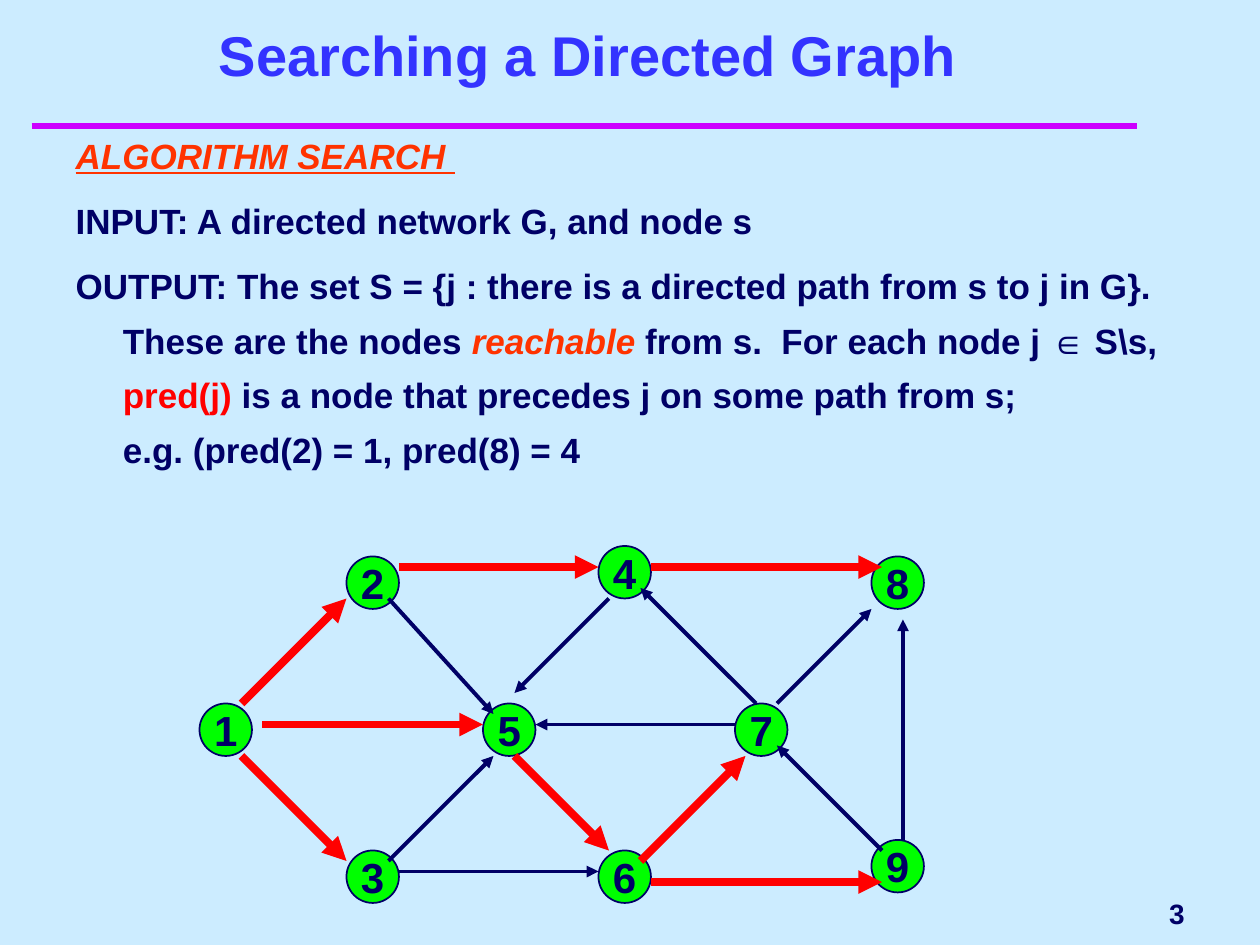
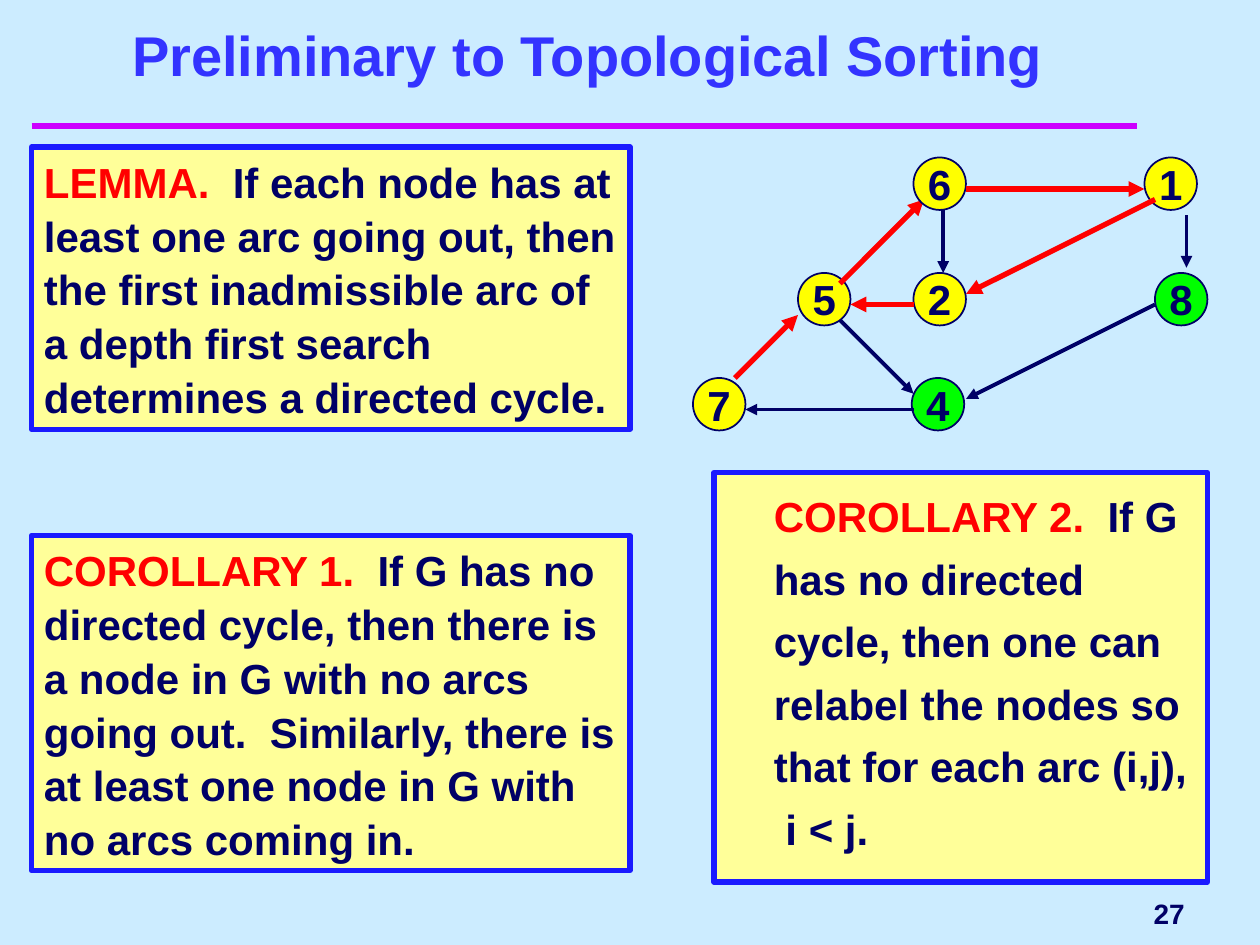
import pptx
import pptx.util
import pptx.dml.color
import pptx.enum.shapes
import pptx.enum.text
import pptx.oxml.ns
import lxml.etree

Pt = pptx.util.Pt
RGBColor = pptx.dml.color.RGBColor
Align = pptx.enum.text.PP_ALIGN
Anchor = pptx.enum.text.MSO_ANCHOR
Shape = pptx.enum.shapes.MSO_SHAPE
qn = pptx.oxml.ns.qn

COLORS = {
    "background": "CCECFF",
    "rule": "CC00FF",
    "title": "3333FF",
    "navy": "000066",
    "red": "FF0000",
    "orange": "FF3300",
    "green": "00FF00",
    "yellow": "FFFF00",
    "box": "FFFF99",
    "frame": "1A1AFF",
}
RGB = {name: RGBColor.from_string(value) for name, value in COLORS.items()}
FONT = "Arial"
NODE_SIZE = 30


def write(paragraph, pieces, size):
    for text, color, *styles in pieces:
        if text == "\n":
            paragraph.add_line_break()
            continue
        run = paragraph.add_run()
        run.text = text
        font = run.font
        font.name, font.size, font.bold = FONT, Pt(size), True
        font.color.rgb = RGB[color]
        font.italic = "italic" in styles
        font.underline = "underline" in styles


def add_line(slide, start, end, color, width, arrow=True):
    line = slide.shapes.add_connector(
        pptx.enum.shapes.MSO_CONNECTOR.STRAIGHT, *map(Pt, start + end))
    line.line.color.rgb = RGB[color]
    line.line.width = Pt(width)
    if arrow:
        lxml.etree.SubElement(line.line._get_or_add_ln(), qn("a:tailEnd"), type="triangle")
    lxml.etree.SubElement(line._element.spPr, qn("a:effectLst"))


presentation = pptx.Presentation()
presentation.slide_width, presentation.slide_height = Pt(720), Pt(540)
background = presentation.slide_master.background.fill
background.solid()
background.fore_color.rgb = RGB["background"]

search_nodes = [
    ("1", 114, 402, "green"), ("2", 198, 318, "green"), ("4", 342, 312, "green"),
    ("5", 276, 402, "green"), ("3", 198, 486, "green"), ("6", 342, 486, "green"),
    ("9", 498, 480, "green"), ("7", 420, 402, "green"), ("8", 498, 318, "green"),
]
other_arcs = [
    ((444, 402), (498, 348)), ((432, 402), (366, 336)), ((348, 342), (294, 396)),
    ((222, 492), (282, 432)), ((228, 498), (342, 498)), ((504, 486), (444, 426)),
    ((516, 480), (516, 354)), ((222, 342), (282, 408)), ((420, 414), (306, 414)),
]
tree_arcs = [
    ((138, 402), (198, 342)), ((150, 414), (276, 414)), ((138, 432), (198, 492)),
    ((228, 324), (342, 324)), ((294, 432), (348, 486)), ((372, 324), (504, 324)),
    ((366, 492), (426, 432)), ((372, 504), (504, 504)),
]
search_layers = [
    (search_nodes, other_arcs, "navy", 2.25),
    ([], tree_arcs, "red", 4.5),
]

sorting_nodes = [("4", 521, 216, "green"), ("8", 660, 156, "green")]
sorting_arcs = [
    ((522, 234), (426, 234)), ((480, 183), (522, 225)), ((539, 120), (539, 156)),
    ((660, 174), (552, 228)), ((678, 123), (678, 153)),
]
cycle_steps = [
    ("7", 396, 216, (420, 216), (456, 180)),
    ("5", 456, 156, (480, 162), (528, 114)),
    ("6", 522, 90, (552, 108), (654, 108)),
    ("1", 654, 90, (660, 114), (552, 168)),
    ("2", 522, 156, (522, 174), (486, 174)),
]
sorting_layers = [(sorting_nodes, sorting_arcs, "navy", 2.25)]
for label, left, top, start, end in cycle_steps:
    sorting_layers.append(([(label, left, top, "yellow")], [(start, end)], "red", 3))

algorithm = [
    [("ALGORITHM SEARCH ", "orange", "italic", "underline")],
    [("INPUT: A directed network G, and node s", "navy")],
    [
        ("OUTPUT: The set S = {j : there is a directed path from s to j in G}.  "
         "These are the nodes ", "navy"),
        ("reachable", "orange", "italic"),
        (" from s.  For each node j ∈ S\\s, ", "navy"),
        ("pred(j)", "red"),
        (" is a node that precedes j on some path from s; ", "navy"),
        ("\n", "navy"),
        ("e.g. (pred(2) = 1, pred(8) = 4", "navy"),
    ],
]
corollary_2 = [[
    ("COROLLARY 2.", "red"),
    ("  If G has no directed cycle, then one can relabel the nodes so "
     "that for each arc (i,j),", "navy"),
    ("\n", "navy"),
    (" i < j.", "navy"),
]]
statements = [
    (84, 161.3, 15, "LEMMA.",
     "  If each node has at least one arc going out, then the first inadmissible "
     "arc of a depth first search determines a directed cycle."),
    (306, 191.5, 6, "COROLLARY 1.",
     "  If G has no directed cycle, then there is a node in G with no arcs going "
     "out.  Similarly, there is at least one node in G with no arcs coming in."),
]

pages = [
    ("Searching a Directed Graph", "3", (36, 66, 654, 216),
     algorithm, 20, 1.3, -27, [], search_layers),
    ("Preliminary to Topological Sorting", "27", (408, 270, 282, 234),
     corollary_2, 24, Pt(35.7), 0, statements, sorting_layers),
]

for heading, number, body_area, items, size, spacing, indent, boxes, layers in pages:
    slide = presentation.slides.add_slide(presentation.slide_layouts[1])
    add_line(slide, (18, 72), (650, 72), "rule", 4, arrow=False)

    title, body = slide.placeholders
    title.left, title.top, title.width, title.height = map(Pt, (30, 12, 612, 42))
    title.text_frame.vertical_anchor = Anchor.BOTTOM
    title.text_frame.auto_size = pptx.enum.text.MSO_AUTO_SIZE.NONE
    title.text_frame.paragraphs[0].alignment = Align.CENTER
    write(title.text_frame.paragraphs[0], [(heading, "title")], 32)

    body.left, body.top, body.width, body.height = map(Pt, body_area)
    body.text_frame.auto_size = pptx.enum.text.MSO_AUTO_SIZE.NONE
    for index, pieces in enumerate(items):
        frame = body.text_frame
        paragraph = frame.add_paragraph() if index else frame.paragraphs[0]
        paragraph.line_spacing = spacing
        paragraph.space_before = Pt(6)
        properties = paragraph._p.get_or_add_pPr()
        properties.set("marL", str(Pt(27)))
        properties.set("indent", str(Pt(indent)))
        lxml.etree.SubElement(properties, qn("a:buNone"))
        write(paragraph, pieces, size)

    framed = [body] if boxes else []
    for top, height, space_before, name, statement in boxes:
        box = slide.shapes.add_shape(Shape.RECTANGLE, *map(Pt, (18, top, 342, height)))
        box.shadow.inherit = False
        box.text_frame.word_wrap = True
        box.text_frame.vertical_anchor = Anchor.TOP
        paragraph = box.text_frame.paragraphs[0]
        paragraph.alignment = Align.LEFT
        paragraph.line_spacing = Pt(30.7)
        paragraph.space_before = Pt(space_before)
        write(paragraph, [(name, "red"), (statement, "navy")], 24)
        framed.append(box)
    for box in framed:
        box.fill.solid()
        box.fill.fore_color.rgb = RGB["box"]
        box.line.color.rgb = RGB["frame"]
        box.line.width = Pt(3)

    for nodes, arcs, arc_color, arc_width in layers:
        for label, left, top, color in nodes:
            node = slide.shapes.add_shape(
                Shape.OVAL, Pt(left), Pt(top), Pt(NODE_SIZE), Pt(NODE_SIZE))
            node.shadow.inherit = False
            node.fill.solid()
            node.fill.fore_color.rgb = RGB[color]
            node.line.color.rgb = RGB["navy"]
            node.line.width = Pt(1)
            node.text_frame.word_wrap = False
            node.text_frame.vertical_anchor = Anchor.MIDDLE
            node.text_frame.paragraphs[0].alignment = Align.CENTER
            write(node.text_frame.paragraphs[0], [(label, "navy")], 24)
        for start, end in arcs:
            add_line(slide, start, end, arc_color, arc_width)

    page_number = slide.shapes.add_textbox(Pt(546), Pt(504), Pt(138), Pt(36))
    page_number.text_frame.word_wrap = True
    page_number.text_frame.vertical_anchor = Anchor.MIDDLE
    page_number.text_frame.paragraphs[0].alignment = Align.RIGHT
    write(page_number.text_frame.paragraphs[0], [(number, "navy")], 16)

presentation.save("out.pptx")
